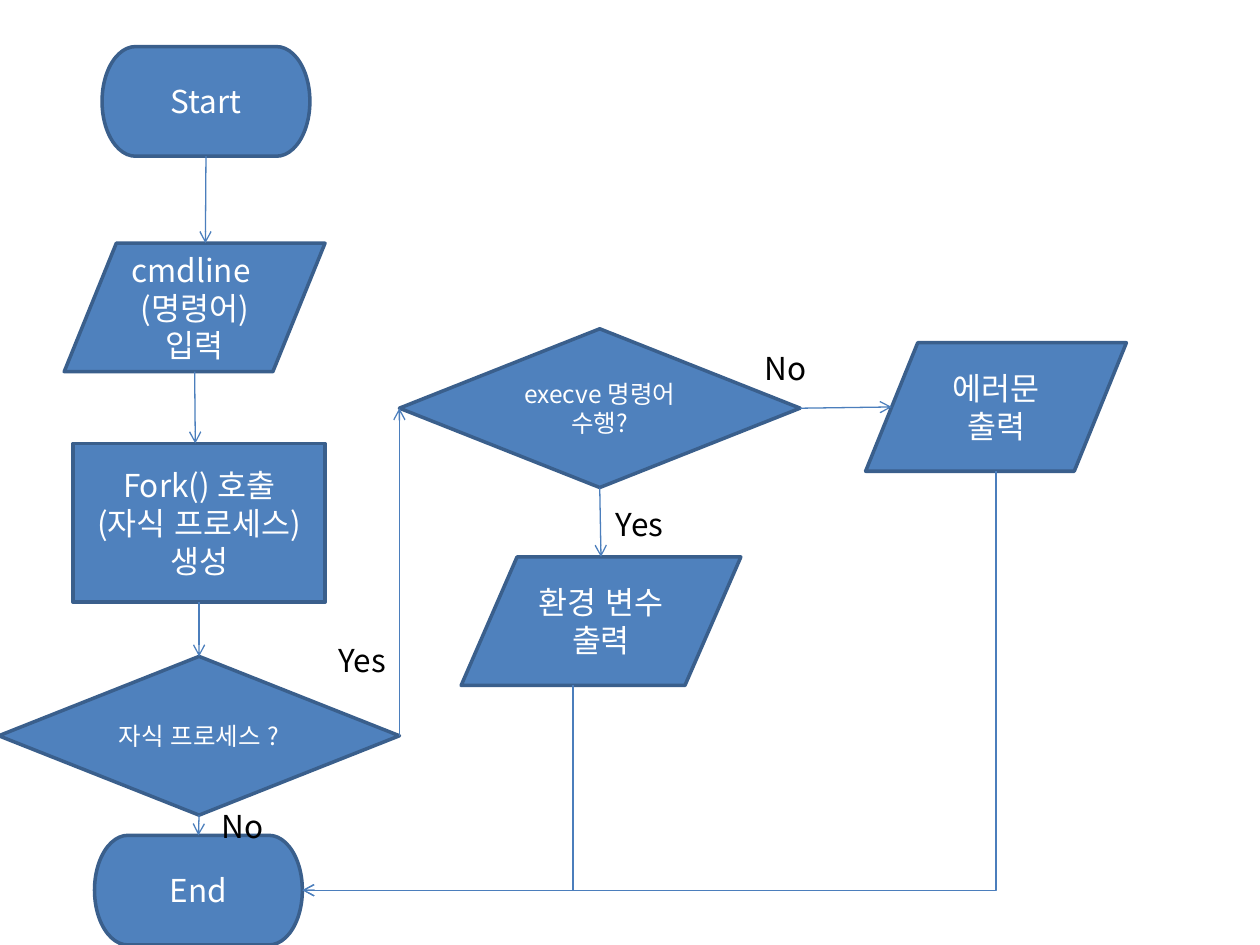
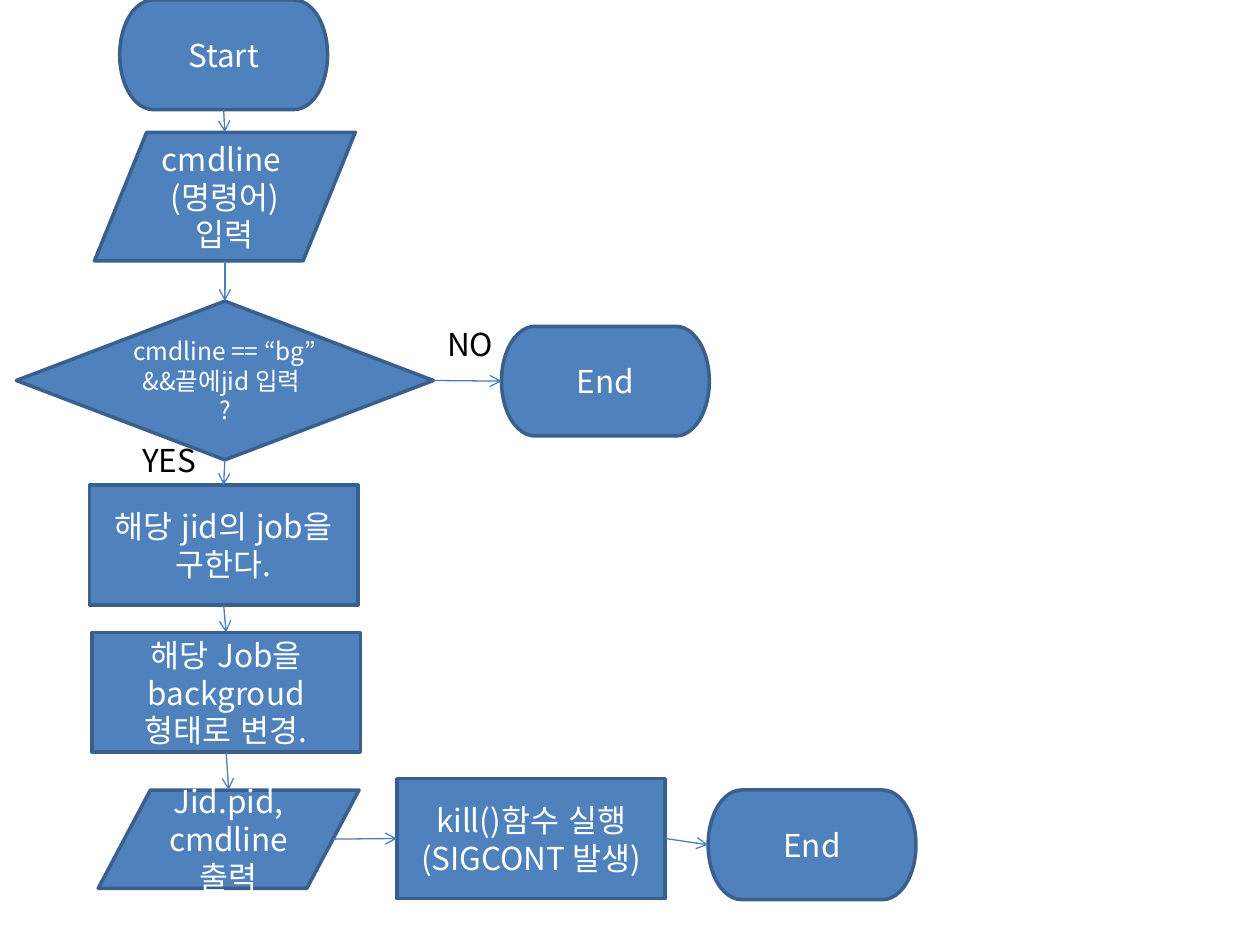
from lxml.etree import SubElement
from pptx import Presentation
from pptx.dml.color import RGBColor
from pptx.enum.shapes import MSO_CONNECTOR as LINK, MSO_SHAPE as SHAPE
from pptx.enum.text import MSO_ANCHOR, MSO_AUTO_SIZE, PP_ALIGN
from pptx.oxml.ns import qn
from pptx.util import Inches, Pt

FONT = "Noto Sans CJK KR"
BLUE = RGBColor(0x4F, 0x81, 0xBD)
EDGE = RGBColor(0x3A, 0x5F, 0x8C)
ARROW = RGBColor(0x4B, 0x7E, 0xBC)
WHITE = RGBColor(0xFF, 0xFF, 0xFF)
BLACK = RGBColor(0, 0, 0)

# Connection sites: name -> (index, x share, y share)
BOX_SITES = {"top": (0, .5, 0), "left": (1, 0, .5),
             "bottom": (2, .5, 1), "right": (3, 1, .5)}
IO_SITES = {"top": (1, .5, 0), "left": (2, .1, .5), "bottom left": (3, .4, 1),
            "bottom": (4, .5, 1), "right": (5, .9, .5)}

# Flowchart kinds: preset, usual size, text size, sites
KINDS = {
    "terminal": (SHAPE.FLOWCHART_TERMINATOR, (1.65, 0.87), 18, BOX_SITES),
    "io": (SHAPE.FLOWCHART_DATA, (2.07, 1.02), 18, IO_SITES),
    "process": (SHAPE.FLOWCHART_PROCESS, (2.13, 0.95), 18, BOX_SITES),
    "decision": (SHAPE.FLOWCHART_DECISION, (3.18, 1.26), 14, BOX_SITES),
}
LABEL_SIZE = (0.77, 0.4)

# steps: key -> kind, left, top, text, optional own size
# arrows: from step and site, to step and site (or a free point)
# turns: down from a step, then left into another
FORK_CHART = {
    "steps": {
        "start": ("terminal", 0.81, 0.37, "Start"),
        "end": ("terminal", 0.75, 6.63, "End"),
        "input": ("io", 0.51, 1.93, "cmdline  (명령어)입력"),
        "fork": ("process", 0.58, 3.52, "Fork() 호출\n(자식 프로세스) 생성", (2, 1.26)),
        "child?": ("decision", -0.01, 5.21, "자식 프로세스 ?"),
        "execve?": ("decision", 3.17, 2.61, "execve 명령어 수행?"),
        "error": ("io", 6.87, 2.72, "에러문 출력"),
        "environment": ("io", 3.66, 4.42, "환경 변수 출력", (2.22, 1.02)),
    },
    "arrows": [
        ("start", "bottom", (1.63, 1.93)),
        ("input", "bottom", (1.55, 3.52)),
        ("fork", "bottom", "child?", "top"),
        ("child?", "bottom", "end", "top"),
        ("child?", "right", "execve?", "left"),
        ("execve?", "bottom", "environment", "top"),
        ("execve?", "right", "error", "left"),
    ],
    "turns": [
        ("environment", "bottom left", "end", "right"),
        ("error", "bottom", "end", "right"),
    ],
    "labels": [("No", 1.66, 6.36), ("No", 5.97, 2.72),
               ("Yes", 4.79, 3.96), ("Yes", 2.59, 5.04)],
}
BG_CHART = {
    "steps": {
        "start": ("terminal", 0.95, 0, "Start"),
        "input": ("io", 0.75, 1.05, "cmdline  (명령어)입력"),
        "bg?": ("decision", 0.13, 2.39, "cmdline == “bg” &&끝에jid 입력 \n?", (3.31, 1.26)),
        "stop": ("terminal", 3.98, 2.59, "End"),
        "find": ("process", 0.71, 3.85, "해당 jid의 job을 구한다."),
        "change": ("process", 0.73, 5.02, "해당 Job을 backgroud형태로 변경."),
        "print": ("io", 0.78, 6.27, "Jid.pid, cmdline\n출력", (2.07, 0.78)),
        "kill": ("process", 3.15, 6.18, "kill()함수 실행\n(SIGCONT 발생)"),
        "end": ("terminal", 5.62, 6.27, "End"),
    },
    "arrows": [
        ("start", "bottom", "input", "top"),
        ("input", "bottom", "bg?", "top"),
        ("bg?", "right", "stop", "left"),
        ("bg?", "bottom", "find", "top"),
        ("find", "bottom", "change", "top"),
        ("change", "bottom", "print", "top"),
        ("print", "right", "kill", "left"),
        ("kill", "right", "end", "left"),
    ],
    "turns": [],
    "labels": [("NO", 3.45, 2.53), ("YES", 1.03, 3.45)],
}


def write(frame, text, size, color, align):
    frame.text = text
    frame.word_wrap = True
    for paragraph in frame.paragraphs:
        paragraph.alignment = align
        for run in paragraph.runs:
            run.font.name, run.font.size = FONT, Pt(size)
            run.font.color.rgb = color
            props = run.font._element
            props.set("lang", "ko-KR")
            SubElement(props, qn("a:ea")).set("typeface", FONT)


def add_step(slide, kind, left, top, text, size=None):
    preset, usual, points, sites = KINDS[kind]
    width, height = size or usual
    step = slide.shapes.add_shape(preset, *map(Inches, (left, top, width, height)))
    step.shadow.inherit = False
    step.fill.solid()
    step.fill.fore_color.rgb = BLUE
    step.line.color.rgb = EDGE
    step.line.width = Pt(2)
    step.text_frame.vertical_anchor = MSO_ANCHOR.MIDDLE
    write(step.text_frame, text, points, WHITE, PP_ALIGN.CENTER)
    # Each site becomes (shape id, site index, x, y)
    return {name: (step.shape_id, index, left + x * width, top + y * height)
            for name, (index, x, y) in sites.items()}


def add_link(slide, route, start, end):
    link = slide.shapes.add_connector(route, *map(Inches, start[2:] + end[2:]))
    link.line.color.rgb = ARROW
    link.line.width = Pt(0.75)
    SubElement(link.line._get_or_add_ln(), qn("a:tailEnd")).set("type", "arrow")
    SubElement(link._element.spPr, qn("a:effectLst"))
    glue = link._element.nvCxnSpPr.cNvCxnSpPr
    for tag, (shape_id, index, *_) in (("a:stCxn", start), ("a:endCxn", end)):
        if shape_id is not None:
            site = SubElement(glue, qn(tag))
            site.set("id", str(shape_id))
            site.set("idx", str(index))
    return link


def add_turn(slide, start, end):
    # The one-bend connector runs right then down; a quarter turn makes it down then left
    (x1, y1), (x2, y2) = start[2:], end[2:]
    mid_x, mid_y = (x1 + x2) / 2, (y1 + y2) / 2
    half_w, half_h = (y2 - y1) / 2, (x1 - x2) / 2
    turn = add_link(slide, LINK.ELBOW,
                    start[:2] + (mid_x - half_w, mid_y - half_h),
                    end[:2] + (mid_x + half_w, mid_y + half_h))
    props = turn._element.spPr
    props.find(qn("a:xfrm")).set("rot", str(90 * 60000))
    props.find(qn("a:prstGeom")).set("prst", "bentConnector2")


def add_chart_slide(deck, chart):
    slide = deck.slides.add_slide(deck.slide_layouts[6])
    sites = {key: add_step(slide, *step) for key, step in chart["steps"].items()}
    for source, side, *target in chart["arrows"]:
        if len(target) == 2:
            end = sites[target[0]][target[1]]
        else:
            end = (None, None) + target[0]
        add_link(slide, LINK.STRAIGHT, sites[source][side], end)
    for source, side, target, target_side in chart["turns"]:
        add_turn(slide, sites[source][side], sites[target][target_side])
    for text, left, top in chart["labels"]:
        label = slide.shapes.add_textbox(*map(Inches, (left, top) + LABEL_SIZE))
        write(label.text_frame, text, 18, BLACK, PP_ALIGN.LEFT)
        label.text_frame.auto_size = MSO_AUTO_SIZE.SHAPE_TO_FIT_TEXT


deck = Presentation()
deck.slide_width, deck.slide_height = Inches(10), Inches(7.5)
for chart in (FORK_CHART, BG_CHART):
    add_chart_slide(deck, chart)
deck.save("out.pptx")
